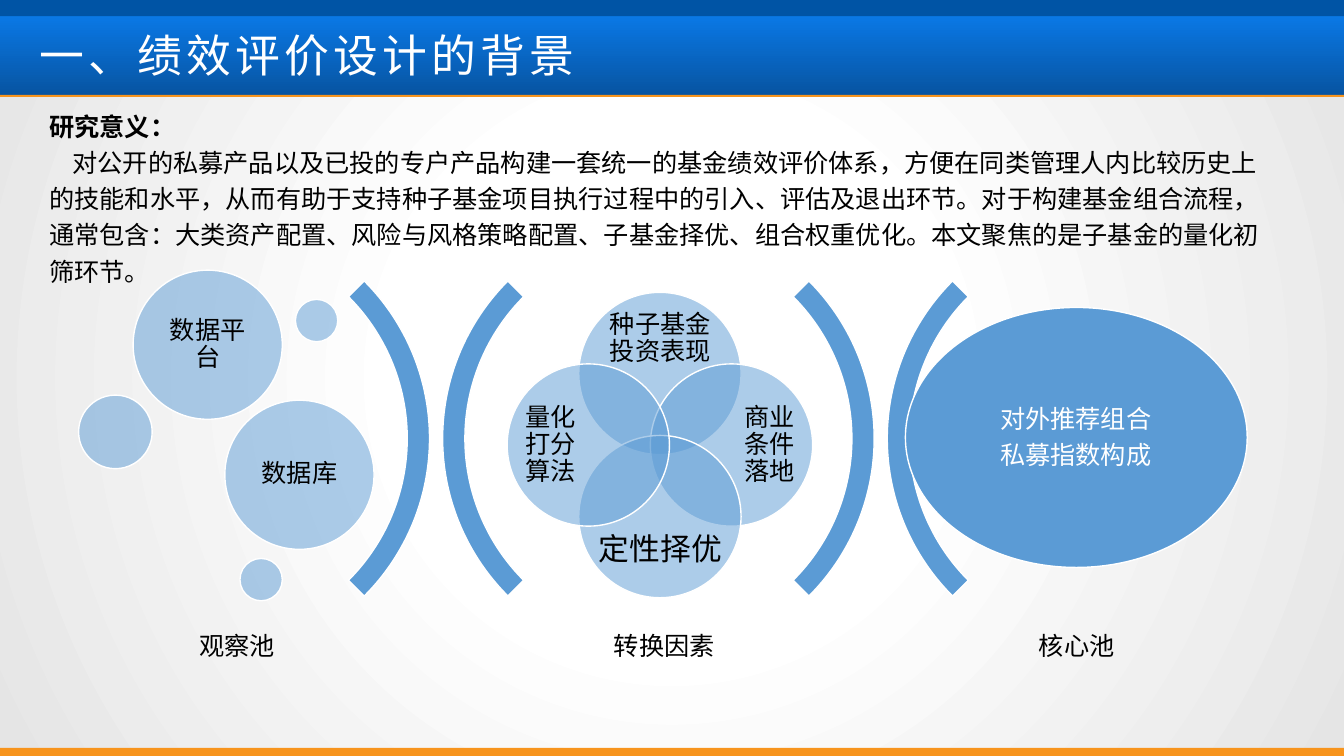
from dataclasses import dataclass

from lxml import etree
from pptx import Presentation
from pptx.dml.color import RGBColor
from pptx.enum.shapes import MSO_SHAPE
from pptx.enum.text import MSO_ANCHOR, MSO_AUTO_SIZE, PP_ALIGN
from pptx.oxml import parse_xml
from pptx.oxml.ns import nsdecls, qn
from pptx.util import Inches, Pt

RECT, OVAL, ARC = MSO_SHAPE.RECTANGLE, MSO_SHAPE.OVAL, MSO_SHAPE.BLOCK_ARC
TOP, MIDDLE = MSO_ANCHOR.TOP, MSO_ANCHOR.MIDDLE
LEFT, CENTER = PP_ALIGN.LEFT, PP_ALIGN.CENTER
GROW = MSO_AUTO_SIZE.SHAPE_TO_FIT_TEXT

WHITE = RGBColor(0xFF, 0xFF, 0xFF)
BLACK = RGBColor(0, 0, 0)
GREY = RGBColor(0xE5, 0xE5, 0xE5)
BLUE = RGBColor(0x5B, 0x9B, 0xD5)
NAVY = RGBColor(0x00, 0x54, 0xA5)
DEEP = RGBColor(0x07, 0x54, 0xA1)
BRIGHT = RGBColor(0x0A, 0x78, 0xE5)
ORANGE = RGBColor(0xF7, 0x94, 0x1D)

SANS = "Noto Sans CJK SC"
WIDE, HIGH = 13.33, 7.5
RADIAL = ('<a:path path="circle"><a:fillToRect l="50000" t="50000" '
          'r="50000" b="50000"/></a:path>')
UPWARD = '<a:lin ang="16200000" scaled="0"/>'


@dataclass
class Box:
    x: float
    y: float
    w: float
    h: float


@dataclass
class Petal:
    """One circle of the Venn figure, with its label."""
    dx: int
    dy: int
    text: str
    label: Box
    size: int = 18


@dataclass
class Bubble:
    x: float
    y: float
    d: float
    text: str = ""


PETALS = [
    Petal(0, -1, "种子基金投资表现", Box(5.93, 3.11, 1.24, 0.51)),
    Petal(1, 0, "商业条件落地", Box(7.32, 3.8, 0.62, 1.24)),
    Petal(0, 1, "定性择优", Box(5.93, 5.21, 1.24, 0.51), 22),
    Petal(-1, 0, "量化打分算法", Box(5.15, 3.8, 0.62, 1.24)),
]
BUBBLES = [
    Bubble(1.32, 2.68, 1.48, "数据平台"),
    Bubble(0.78, 3.92, 0.73),
    Bubble(2.93, 2.97, 0.42),
    Bubble(2.23, 3.97, 1.48, "数据库"),
    Bubble(2.38, 5.54, 0.42),
]
ARCS = [(-0.16, 90), (4.39, 270), (4.25, 90), (8.8, 270)]
POOLS = [(0.67, "观察池"), (4.91, "转换因素"), (9, "核心池")]
BODY = ("对公开的私募产品以及已投的专户产品构建一套统一的基金绩效评价体系，"
        "方便在同类管理人内比较历史上的技能和水平，从而有助于支持种子基金项目"
        "执行过程中的引入、评估及退出环节。对于构建基金组合流程，通常包含："
        "大类资产配置、风险与风格策略配置、子基金择优、组合权重优化。"
        "本文聚焦的是子基金的量化初筛环节。")

deck = Presentation()
deck.slide_width, deck.slide_height = Inches(WIDE), Inches(HIGH)
slide = deck.slides.add_slide(deck.slide_layouts[6])


def add_form(kind, box: Box, color: RGBColor, edge: bool = False, alpha: int = 100):
    form = slide.shapes.add_shape(
        kind, Inches(box.x), Inches(box.y), Inches(box.w), Inches(box.h))
    form.shadow.inherit = False
    form.fill.solid()
    form.fill.fore_color.rgb = color
    if edge:
        form.line.color.rgb = WHITE
        form.line.width = Pt(1)
    else:
        form.line.fill.background()
    if alpha < 100:
        tint = form.fill._xPr.find(qn("a:solidFill"))[0]
        etree.SubElement(tint, qn("a:alpha"), val=str(alpha * 1000))
    return form


def add_blend(box: Box, stops: list[tuple[int, RGBColor]], course: str) -> None:
    """Draw a rectangle with a gradient fill."""
    form = add_form(RECT, box, WHITE)
    marks = "".join(f'<a:gs pos="{pos * 1000}"><a:srgbClr val="{color}"/></a:gs>'
                    for pos, color in stops)
    blend = parse_xml(f'<a:gradFill {nsdecls("a")} rotWithShape="1">'
                      f'<a:gsLst>{marks}</a:gsLst>{course}</a:gradFill>')
    plain = form.fill._xPr.find(qn("a:solidFill"))
    plain.getparent().replace(plain, blend)


def add_text(box: Box, *lines: str, size: int = 18, color: RGBColor = BLACK,
             font: str = SANS, align=CENTER, anchor=MIDDLE, inset: float = 0.07,
             gap: float = 0.9, after: float = 6.3, wrap: bool = True,
             track: int = 0):
    area = slide.shapes.add_textbox(
        Inches(box.x), Inches(box.y), Inches(box.w), Inches(box.h))
    frame = area.text_frame
    frame.word_wrap = wrap
    frame.vertical_anchor = anchor
    frame.margin_left = frame.margin_right = Inches(inset)
    frame.margin_top = frame.margin_bottom = Inches(min(inset, 0.07))
    frame.text = "\n".join(lines)
    for para in frame.paragraphs:
        para.alignment = align
        para.line_spacing = gap
        para.space_after = Pt(after)
        for run in para.runs:
            run.font.size = Pt(size)
            run.font.name = font
            run.font.color.rgb = color
            props = run.font._element
            etree.SubElement(props, qn("a:ea"), typeface=SANS)
            if track:
                props.set("spc", str(track * 100))
    return frame


def draw_frame() -> None:
    add_blend(Box(0, 0, WIDE, HIGH), [(0, WHITE), (35, WHITE), (100, GREY)], RADIAL)
    add_blend(Box(0, 0.16, WIDE, 0.79), [(0, DEEP), (100, BRIGHT)], UPWARD)
    for top, high, color in [(7.42, 0.08, ORANGE), (0, 0.16, NAVY), (0.94, 0.02, ORANGE)]:
        add_form(RECT, Box(0, top, WIDE, high), color)
    add_text(Box(0.39, 0.31, 10.63, 0.47), "一、绩效评价设计的背景", size=32,
             color=WHITE, font="Arial", align=LEFT, inset=0, gap=1, after=0,
             wrap=False, track=3)


def draw_intro() -> None:
    frame = add_text(Box(0.39, 0.99, 12.41, 2.25), "研究意义：", BODY, align=LEFT,
                     anchor=TOP, inset=0.1, gap=1.2, after=0)
    frame.margin_top = frame.margin_bottom = Inches(0.05)
    frame.auto_size = GROW
    head, body = frame.paragraphs
    head.runs[0].font.bold = True
    body._p.get_or_add_pPr().set("indent", str(Inches(0.23)))


def draw_arcs() -> None:
    for left, turn in ARCS:
        arc = add_form(ARC, Box(left, 2.14, 4.42, 4.42), BLUE, edge=True)
        arc.rotation = turn
        for spot, value in enumerate((135, 189, 0.05)):
            arc.adjustments[spot] = value


def draw_venn() -> None:
    step = 0.71
    for petal in PETALS:
        box = Box(5.74 + petal.dx * step, 3.61 + petal.dy * step, 1.61, 1.61)
        add_form(OVAL, box, BLUE, edge=True, alpha=50)
        add_text(petal.label, petal.text, size=petal.size, inset=0)


def draw_pools() -> None:
    side = 1.05
    for bub in BUBBLES:
        add_form(OVAL, Box(bub.x, bub.y, bub.d, bub.d), BLUE, edge=True, alpha=50)
        if bub.text:
            pad = (bub.d - side) / 2
            add_text(Box(bub.x + pad, bub.y + pad, side, side), bub.text)
    add_form(OVAL, Box(8.98, 3.05, 3.39, 2.58), BLUE, edge=True)
    add_text(Box(9.47, 3.43, 2.4, 1.83), "对外推荐组合", "私募指数构成", color=WHITE)
    for left, name in POOLS:
        add_text(Box(left, 5.98, 3.36, 0.88), name)


def main() -> None:
    draw_frame()
    draw_intro()
    draw_arcs()
    draw_venn()
    draw_pools()
    deck.save("out.pptx")


if __name__ == "__main__":
    main()
